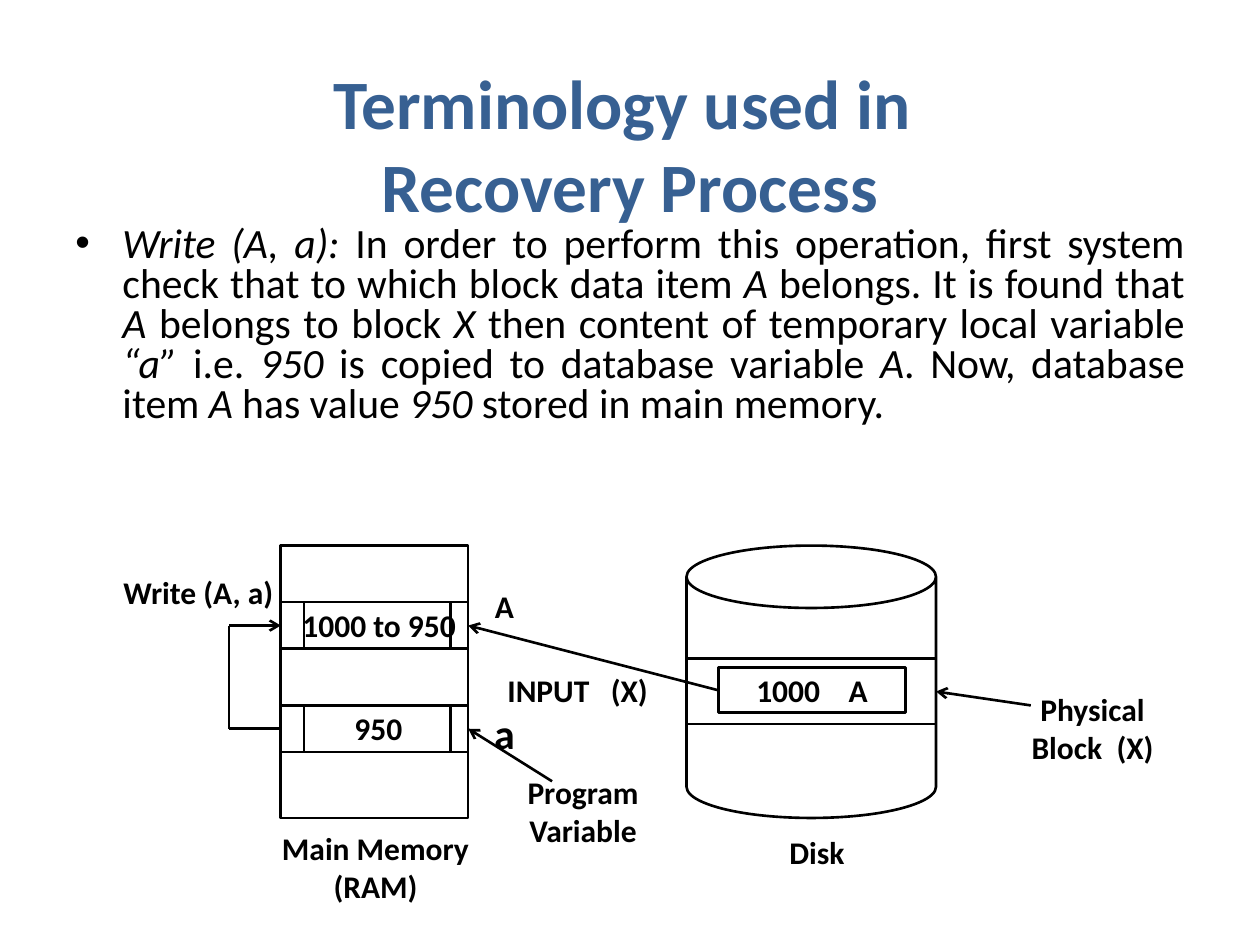
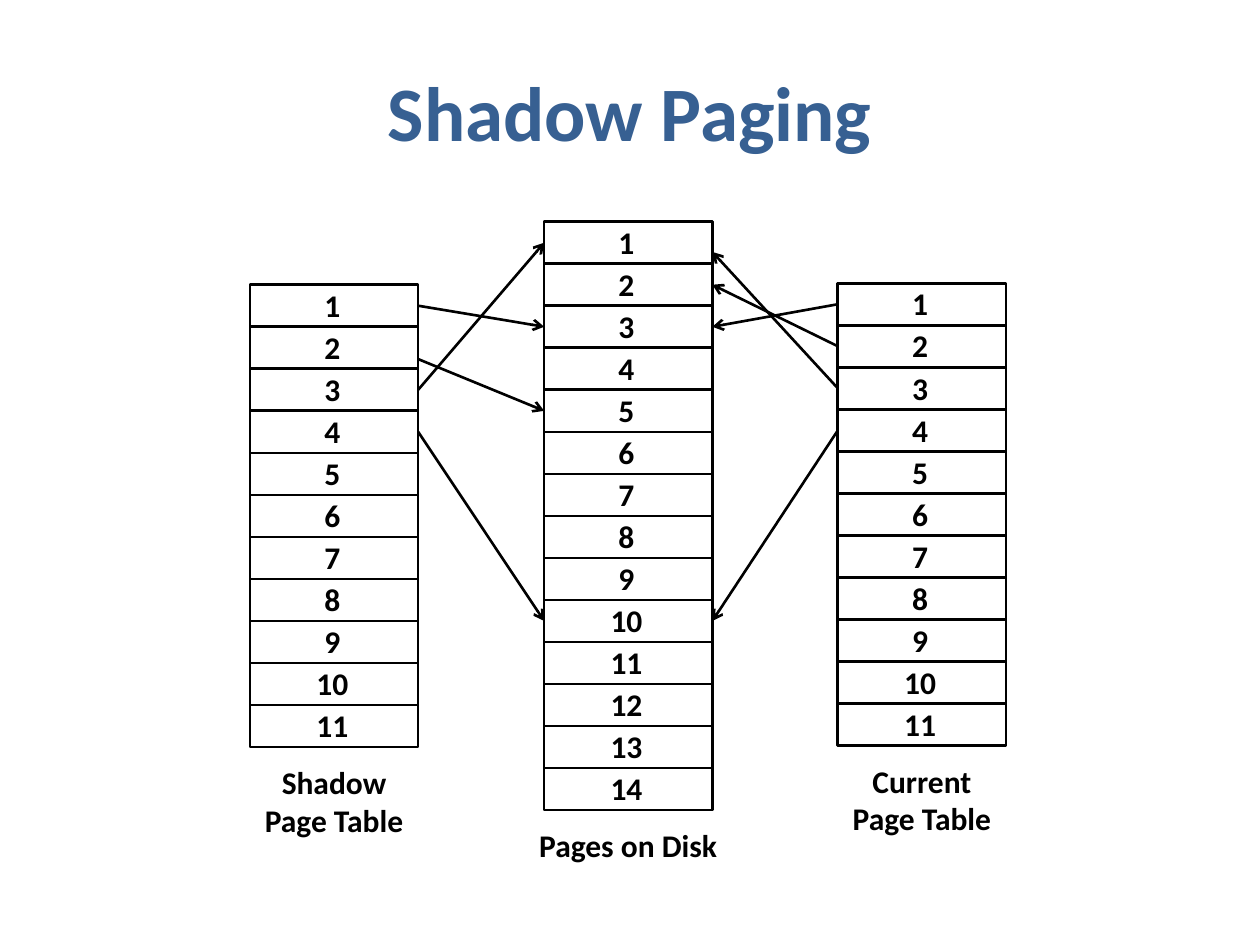
from lxml.etree import SubElement
from pptx import Presentation
from pptx.dml.color import RGBColor
from pptx.enum.shapes import MSO_CONNECTOR, MSO_SHAPE
from pptx.enum.text import MSO_ANCHOR, PP_ALIGN
from pptx.oxml.ns import qn
from pptx.util import Cm, Pt

COLORS = {"title": "376092", "ink": "000000"}
FONT = "Calibri"
LINE_WIDTH = Pt(1.5)
LABEL_SIZE = 18

# Italic parts alternate with upright ones, starting with italic
WRITE_STEPS = [
    "Write (A, a):",
    " In order to perform this operation, first system check that to which block data item ",
    "A", " belongs. It is found that ",
    "A", " belongs to block ",
    "X", " then content of temporary local variable ",
    "“a”", " i.e. ",
    "950", " is copied to database variable ",
    "A", ". Now, database item ",
    "A", " has value ",
    "950", " stored in main memory.",
]


def style_runs(paragraph, size, color="ink", bold=True):
    for run in paragraph.runs:
        run.font.name = FONT
        run.font.size = Pt(size)
        run.font.bold = bold
        run.font.color.rgb = RGBColor.from_string(COLORS[color])


def add_label(slide, text, box, size=LABEL_SIZE, color="ink",
              anchor=MSO_ANCHOR.MIDDLE, gap=0):
    """Centred bold text; gap widens the last space by that many points."""
    frame = slide.shapes.add_textbox(*map(Cm, box)).text_frame
    frame.word_wrap = True
    frame.vertical_anchor = anchor
    paragraph = frame.paragraphs[0]
    paragraph.alignment = PP_ALIGN.CENTER
    if gap:
        head, space, tail = text.rpartition(" ")
        paragraph.text = head
        wide_space = paragraph.add_run()
        wide_space.text = space
        wide_space.font._element.set("spc", str(round(gap * 100)))
        paragraph.add_run().text = tail
    else:
        paragraph.text = text
    style_runs(paragraph, size, color)


def add_outline(slide, box, preset=MSO_SHAPE.RECTANGLE):
    outline = slide.shapes.add_shape(preset, *map(Cm, box))
    outline.shadow.inherit = False
    outline.fill.background()
    outline.line.color.rgb = RGBColor.from_string(COLORS["ink"])
    outline.line.width = LINE_WIDTH
    return outline


def add_line(slide, start, end, arrow=False):
    line = slide.shapes.add_connector(
        MSO_CONNECTOR.STRAIGHT, *map(Cm, (*start, *end)))
    line.line.color.rgb = RGBColor.from_string(COLORS["ink"])
    line.line.width = LINE_WIDTH
    if arrow:
        SubElement(line.line._get_or_add_ln(), qn("a:tailEnd"), type="arrow")
    SubElement(line._element.spPr, qn("a:effectLst"))
    return line


def add_title(slide, text, top, height, size):
    add_label(slide, text, (1.27, top, 22.86, height), size, "title")


def add_write_steps(slide, box):
    frame = slide.shapes.add_textbox(*map(Cm, box)).text_frame
    frame.word_wrap = True
    paragraph = frame.paragraphs[0]
    paragraph.alignment = PP_ALIGN.JUSTIFY
    paragraph.line_spacing = 0.8
    for index, part in enumerate(WRITE_STEPS):
        run = paragraph.add_run()
        run.text = part
        run.font.italic = index % 2 == 0
    style_runs(paragraph, 23.8, bold=False)
    # Hanging bullet
    properties = paragraph._p.get_or_add_pPr()
    indent = Cm(0.95)
    properties.set("marL", str(indent))
    properties.set("indent", str(-indent))
    SubElement(properties, qn("a:buFont"), typeface="Arial")
    SubElement(properties, qn("a:buChar"), char="•")


def add_main_memory(slide, left, top, width, height):
    """Draws the memory and returns the band that holds data item A."""
    band_height, band_a_top, band_local_top = 0.94, 1.14, 3.22
    add_outline(slide, (left, top, width, height))
    band_a, band_local = (
        add_outline(slide, (left, top + offset, width, band_height))
        for offset in (band_a_top, band_local_top))
    for offset in (band_a_top, band_local_top):
        add_outline(slide, (left + 0.47, top + offset, 2.95, band_height))

    # Values and names
    add_label(slide, "1000 to 950", (left + 0.13, top + 1.09, 3.71, 1.02))
    add_label(slide, "950", (left + 0.61, top + 3.22, 2.72, 0.91))
    add_label(slide, "A", (left + 3.99, top + 0.76, 1.04, 0.91))
    add_label(slide, "a", (left + 3.99, top + 3.2, 1.04, 1.14), size=24)
    add_label(slide, "Main Memory (RAM)", (left - 0.4, top + height + 0.1, 4.62, 1.6),
              anchor=MSO_ANCHOR.TOP)

    # Program variable pointer
    add_label(slide, "Program Variable", (left + 4.42, top + 4.54, 3.35, 1.6))
    pointer = add_line(slide, (left + 5.47, top + 4.75),
                       (left + width, top + 3.69), arrow=True)
    pointer.end_connect(band_local, 3)

    # Write loop from the local variable back to the data item
    add_label(slide, "Write (A, a)", (left - 3.55, top + 0.43, 3.78, 1.02))
    loop_x = left - 1.04
    write_y, read_y = (top + offset + band_height / 2
                       for offset in (band_a_top, band_local_top))
    loop_start = add_line(slide, (left, read_y), (loop_x, read_y))
    loop_start.begin_connect(band_local, 1)
    add_line(slide, (loop_x, read_y), (loop_x, write_y))
    loop_end = add_line(slide, (loop_x, write_y), (left, write_y), arrow=True)
    loop_end.end_connect(band_a, 1)
    return band_a


def add_disk(slide, left, top, width, height):
    """Draws the disk and returns the record that holds data item A."""
    add_outline(slide, (left, top, width, height), MSO_SHAPE.CAN)
    block = add_outline(slide, (left, top + 2.28, width, 1.32))
    record_box = (left + 0.64, top + 2.46, 3.78, 0.91)
    record = add_outline(slide, record_box)
    add_label(slide, "1000 A", record_box, gap=12.2)
    add_label(slide, "Disk", (left + 1.27, top + height + 0.22, 2.72, 0.91))

    # Physical block pointer
    add_label(slide, "Physical Block (X)", (left + 6.51, top + 2.87, 3.35, 1.6), gap=4.1)
    pointer = add_line(slide, (left + 6.94, top + 3.22),
                       (left + width, top + 2.94), arrow=True)
    pointer.end_connect(block, 3)
    return record


def build_write_slide(slide):
    add_title(slide, "Terminology used in \vRecovery Process", 1.98, 1.83, 39.6)
    add_write_steps(slide, (1.27, 4.45, 22.86, 4.65))
    band_a = add_main_memory(slide, 5.66, 11, 3.78, 5.49)
    record = add_disk(slide, 13.84, 11, 5.03, 5.49)

    # Input of block X from disk to memory
    transfer = add_line(slide, (14.48, 13.92), (9.44, 12.61), arrow=True)
    transfer.begin_connect(record, 1)
    transfer.end_connect(band_a, 3)
    add_label(slide, "INPUT (X)", (9.65, 13.46, 3.99, 0.91), gap=8.2)


def add_page_column(slide, box, count, caption, caption_width):
    """Draws numbered pages and returns a function from page number to its middle y."""
    left, top, width, height = box
    row = height / count
    center = left + width / 2
    add_outline(slide, box)
    for page in range(1, count + 1):
        row_top = top + (page - 1) * row
        if page > 1:
            add_line(slide, (left, row_top), (left + width, row_top))
        add_label(slide, str(page), (center - 0.67, row_top - 0.1, 1.27, 1.02),
                  anchor=MSO_ANCHOR.TOP)
    add_label(slide, caption,
              (center - caption_width / 2, top + height + 0.2, caption_width, 1.8),
              anchor=MSO_ANCHOR.TOP)
    return lambda page: top + (page - 0.5) * row


def build_paging_slide(slide):
    add_title(slide, "Shadow Paging", 0.64, 3.18, 44)
    width, table_height = 3.39, 9.32
    shadow_left, disk_left, current_left = 5.04, 10.97, 16.89
    shadow_y = add_page_column(
        slide, (shadow_left, 5.74, width, table_height), 11, "Shadow Page Table", 3.81)
    disk_y = add_page_column(
        slide, (disk_left, 4.47, width, 11.86), 14, "Pages on Disk", 4.65)
    current_y = add_page_column(
        slide, (current_left, 5.71, width, table_height), 11, "Current Page Table", 3.81)

    # Page references; fractions shift an arrow end within its row
    references = [
        (shadow_left + width, shadow_y, disk_left,
         [(1, 3), (2.27, 5), (3, 1), (4, 10)]),
        (current_left, current_y, disk_left + width,
         [(1, 3), (2, 2), (3, 1.22), (4, 10)]),
    ]
    for table_x, table_y, disk_x, pairs in references:
        for entry, page in pairs:
            add_line(slide, (table_x, table_y(entry)), (disk_x, disk_y(page)), arrow=True)


def main():
    deck = Presentation()
    deck.slide_width, deck.slide_height = Cm(25.4), Cm(19.05)
    blank = deck.slide_layouts[6]
    for build in (build_write_slide, build_paging_slide):
        build(deck.slides.add_slide(blank))
    deck.save("out.pptx")


if __name__ == "__main__":
    main()
